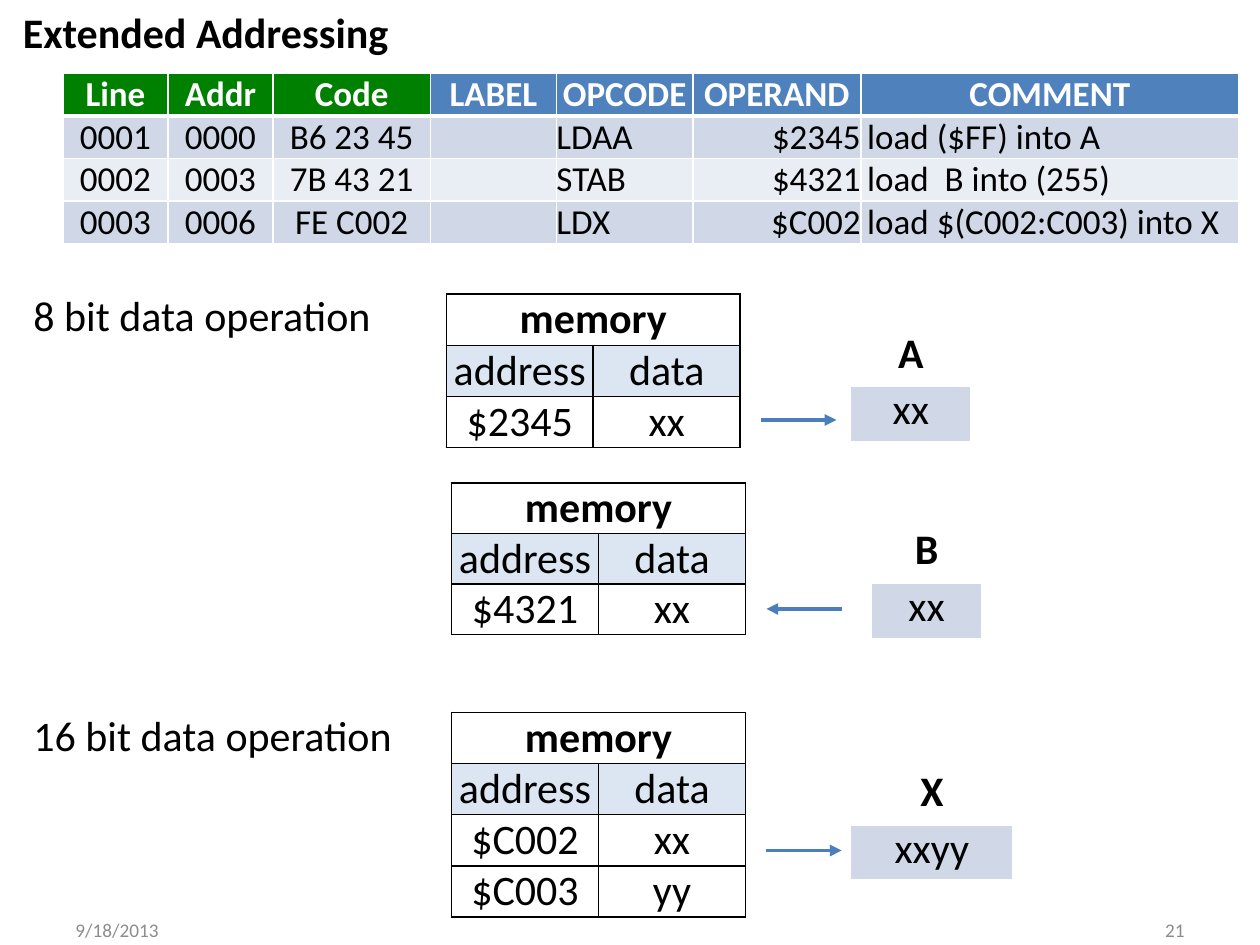
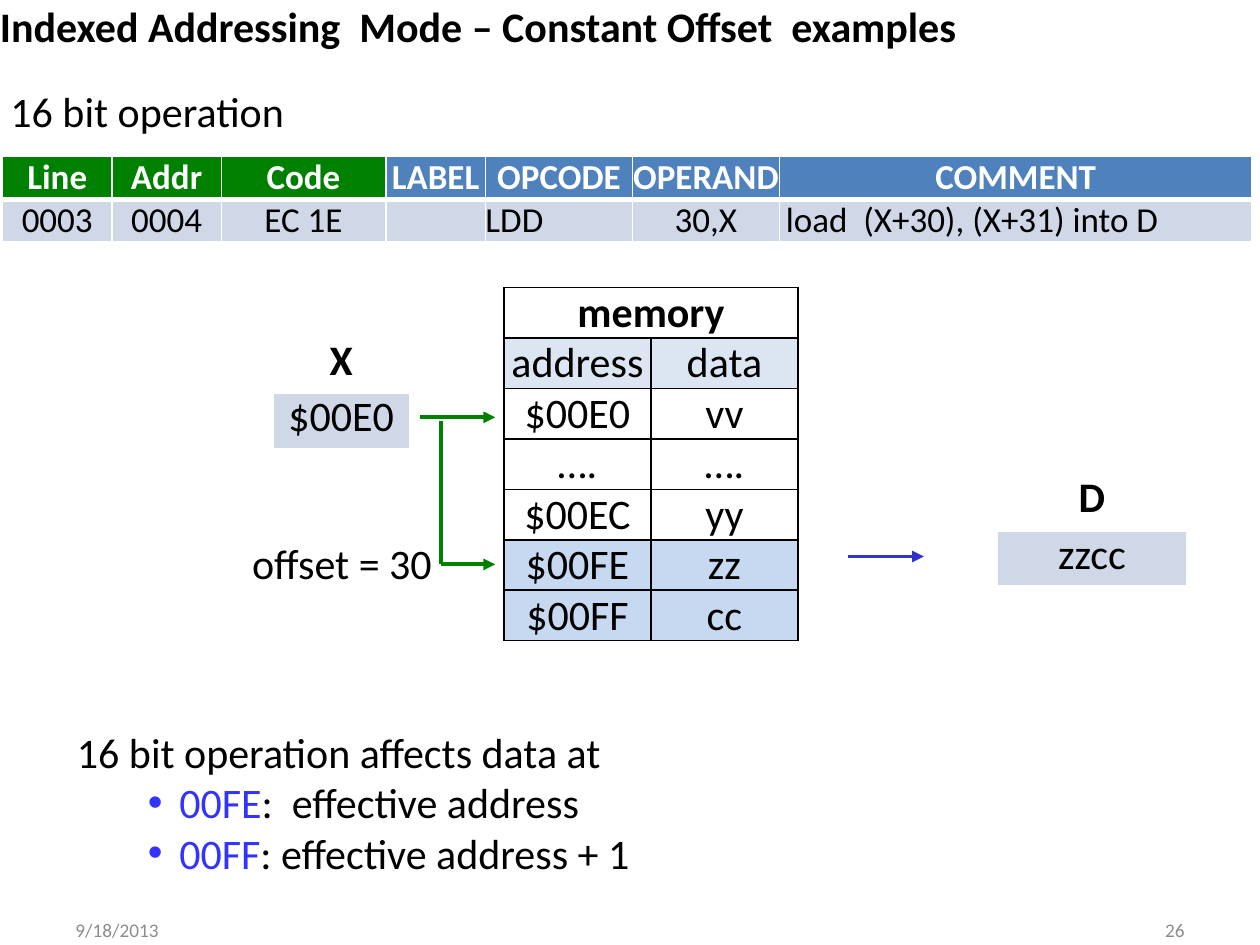
"""Build two slides on extended and indexed addressing modes."""
from dataclasses import dataclass, replace
from typing import Any, Optional

from lxml.etree import SubElement
from pptx import Presentation
from pptx.dml.color import RGBColor
from pptx.enum.shapes import MSO_CONNECTOR
from pptx.enum.text import MSO_ANCHOR, MSO_AUTO_SIZE, PP_ALIGN
from pptx.oxml.ns import qn
from pptx.slide import Slide
from pptx.util import Pt


@dataclass(frozen=True)
class Theme:
    font: str = "Calibri"
    body_size: float = 24
    code_size: float = 20
    footer_size: float = 11
    black: str = "000000"
    white: str = "FFFFFF"
    gray: str = "8C8C8C"
    green: str = "008000"
    blue: str = "4F81BD"
    arrow_blue: str = "4B7EBC"
    load_blue: str = "3333CC"
    address_blue: str = "3333FF"
    band_dark: str = "D0D8E8"
    band_light: str = "E9EDF4"
    column_head: str = "DCE6F2"
    highlight: str = "C6D9F1"


THEME = Theme()


@dataclass(frozen=True)
class CellStyle:
    fill: Optional[str] = None
    color: str = THEME.black
    bold: bool = False
    size: float = THEME.body_size
    align: PP_ALIGN = PP_ALIGN.CENTER
    edge: str = THEME.black
    bottom_edge: float = 1
    left_margin: float = 0
    bottom_margin: float = 0


@dataclass(frozen=True)
class Span:
    text: str
    color: str = THEME.black
    bold: bool = False
    size: float = THEME.body_size


@dataclass(frozen=True)
class Label:
    left: float
    top: float
    width: float
    height: float
    spans: tuple[Span, ...]
    inset: bool = True


@dataclass(frozen=True)
class CodeTable:
    left: float
    top: float
    widths: tuple[float, ...]
    operand_align: PP_ALIGN
    lines: tuple[tuple[str, ...], ...]


@dataclass(frozen=True)
class Memory:
    left: float
    top: float
    row_height: float
    contents: tuple[tuple[str, str], ...]
    highlighted: tuple[str, ...] = ()


@dataclass(frozen=True)
class Register:
    left: float
    top: float
    width: float
    name: str
    value: str


@dataclass(frozen=True)
class Line:
    start: tuple[float, float]
    end: tuple[float, float]
    color: str = THEME.arrow_blue
    arrow: bool = True


Cell = tuple[str, CellStyle]
CODE_HEAD = CellStyle(color=THEME.white, bold=True, size=THEME.code_size,
                      edge=THEME.white, bottom_edge=3)
CODE_BODY = CellStyle(size=THEME.code_size, edge=THEME.white)
REGISTER_VALUE = CellStyle(fill=THEME.band_dark, edge=THEME.white, bottom_margin=3.6)
REGISTER_NAME = replace(REGISTER_VALUE, fill=None, bold=True, bottom_edge=3)
CODE_COLUMNS = ("Line", "Addr", "Code", "LABEL", "OPCODE", "OPERAND", "COMMENT")
LISTING_COLUMNS = 3
CODE_ROW, REGISTER_ROW, MEMORY_COLUMN = 24.4, 32.4, 84
LINE_WIDTH = 2.25


def add_span(para: Any, span: Span) -> None:
    """Append one formatted run to a paragraph."""
    run = para.add_run()
    run.text = span.text
    run.font.name = THEME.font
    run.font.size = Pt(span.size)
    run.font.bold = span.bold
    run.font.color.rgb = RGBColor.from_string(span.color)


def style_cell(cell: Any, style: CellStyle) -> None:
    """Set the margins, borders and fill of a table cell."""
    cell.margin_left, cell.margin_bottom = Pt(style.left_margin), Pt(style.bottom_margin)
    cell.margin_right = cell.margin_top = Pt(0)
    properties = cell._tc.get_or_add_tcPr()
    for side in ("lnL", "lnR", "lnT", "lnB"):
        width = style.bottom_edge if side == "lnB" else 1
        border = SubElement(properties, qn(f"a:{side}"), w=str(Pt(width)))
        fill = SubElement(border, qn("a:solidFill"))
        SubElement(fill, qn("a:srgbClr"), val=style.edge)
    if style.fill:
        cell.fill.solid()
        cell.fill.fore_color.rgb = RGBColor.from_string(style.fill)
    else:
        cell.fill.background()


def draw_table(page: Slide, left: float, top: float, widths: tuple[float, ...],
               row_height: float, rows: list[list[Cell]]) -> Any:
    """Draw a table of styled cells and return it."""
    table = page.shapes.add_table(len(rows), len(widths), Pt(left), Pt(top),
                                  Pt(sum(widths)), Pt(row_height * len(rows))).table
    table.first_row = table.horz_banding = False
    for column, width in zip(table.columns, widths):
        column.width = Pt(width)
    for row, cells in zip(table.rows, rows):
        row.height = Pt(row_height)
        for cell, (text, style) in zip(row.cells, cells):
            style_cell(cell, style)
            if text:
                para = cell.text_frame.paragraphs[0]
                para.alignment = style.align
                add_span(para, Span(text, style.color, style.bold, style.size))
    return table


def draw_code(page: Slide, code: CodeTable) -> None:
    """Draw an assembly listing with banded rows."""
    rows = [[(name, replace(CODE_HEAD, fill=THEME.green if index < LISTING_COLUMNS else THEME.blue))
             for index, name in enumerate(CODE_COLUMNS)]]
    aligns = (PP_ALIGN.CENTER,) * 4 + (PP_ALIGN.LEFT, code.operand_align, PP_ALIGN.LEFT)
    for number, line in enumerate(code.lines):
        band = THEME.band_light if number % 2 else THEME.band_dark
        rows.append([(text, replace(CODE_BODY, fill=band, align=align,
                                    left_margin=3.6 if name == "COMMENT" else 0))
                     for text, align, name in zip(line, aligns, CODE_COLUMNS)])
    draw_table(page, code.left, code.top, code.widths, CODE_ROW, rows)


def draw_memory(page: Slide, memory: Memory) -> None:
    """Draw a memory table under a merged heading."""
    title, head = CellStyle(bold=True), CellStyle(fill=THEME.column_head)
    rows = [[("memory", title), ("", title)], [("address", head), ("data", head)]]
    for address, data in memory.contents:
        style = CellStyle(fill=THEME.highlight if address in memory.highlighted else None)
        rows.append([(address, style), (data, style)])
    table = draw_table(page, memory.left, memory.top, (MEMORY_COLUMN,) * 2,
                       memory.row_height, rows)
    table.cell(0, 0).merge(table.cell(0, 1))


def draw_register(page: Slide, register: Register) -> None:
    """Draw a register name above its value."""
    draw_table(page, register.left, register.top, (register.width,), REGISTER_ROW,
               [[(register.name, REGISTER_NAME)], [(register.value, REGISTER_VALUE)]])


def draw_line(shapes: Any, line: Line) -> None:
    """Draw a straight line, with an arrowhead at its end if wanted."""
    connector = shapes.add_connector(MSO_CONNECTOR.STRAIGHT,
                                     *(Pt(value) for value in line.start + line.end))
    connector.line.color.rgb = RGBColor.from_string(line.color)
    connector.line.width = Pt(LINE_WIDTH)
    properties = connector._element.spPr
    if line.arrow:
        SubElement(properties.find(qn("a:ln")), qn("a:tailEnd"), type="triangle")
    SubElement(properties, qn("a:effectLst"))


def draw_label(page: Slide, label: Label) -> Any:
    """Draw one line of text and return its text frame."""
    box = page.shapes.add_textbox(Pt(label.left), Pt(label.top),
                                  Pt(label.width), Pt(label.height))
    frame = box.text_frame
    frame.word_wrap = False
    frame.auto_size = MSO_AUTO_SIZE.SHAPE_TO_FIT_TEXT
    if not label.inset:
        frame.margin_left = frame.margin_right = frame.margin_top = frame.margin_bottom = Pt(0)
    for span in label.spans:
        add_span(frame.paragraphs[0], span)
    return frame


def add_bullet(frame: Any, spans: tuple[Span, ...]) -> None:
    """Append a bulleted paragraph coloured like its first run."""
    para = frame.add_paragraph()
    properties = para._p.get_or_add_pPr()
    properties.set("marL", str(Pt(58.5)))
    properties.set("indent", str(Pt(-18)))
    color = SubElement(properties, qn("a:buClr"))
    SubElement(color, qn("a:srgbClr"), val=spans[0].color)
    SubElement(properties, qn("a:buFont"), typeface="Arial")
    SubElement(properties, qn("a:buChar"), char="•")
    for span in spans:
        add_span(para, span)


def add_page(deck: Any, number: int) -> Slide:
    """Add a blank page with the date and page number."""
    page = deck.slides.add_slide(deck.slide_layouts[6])
    for left, text, align in ((36, "9/18/2013", PP_ALIGN.LEFT),
                              (516, str(number), PP_ALIGN.RIGHT)):
        frame = draw_label(page, Label(left, 525, 168, 13, (
            Span(text, THEME.gray, size=THEME.footer_size),)))
        frame.word_wrap = True
        frame.auto_size = MSO_AUTO_SIZE.NONE
        frame.vertical_anchor = MSO_ANCHOR.MIDDLE
        frame.paragraphs[0].alignment = align
    return page


def build_extended(deck: Any) -> None:
    """Build the extended addressing page."""
    page = add_page(deck, 21)
    draw_label(page, Label(6, 0, 225, 36, (Span("Extended Addressing", bold=True),)))
    draw_code(page, CodeTable(36, 41.8, (60, 60, 90, 72, 78, 96, 216), PP_ALIGN.RIGHT, (
        ("0001", "0000", "B6 23 45", "", "LDAA", "$2345", "load ($FF) into A"),
        ("0002", "0003", "7B 43 21", "", "STAB", "$4321", "load  B into (255)"),
        ("0003", "0006", "FE C002", "", "LDX", "$C002", "load $(C002:C003) into X"))))
    for top, width, text in ((162, 209, "8 bit data operation"),
                             (402, 221, "16 bit data operation")):
        draw_label(page, Label(12, top, width, 36, (Span(text),)))
    for memory in (Memory(255, 168, 29.3, (("$2345", "xx"),)),
                   Memory(258, 276, 28.8, (("$4321", "xx"),)),
                   Memory(258, 407, 29.3, (("$C002", "xx"), ("$C003", "yy")))):
        draw_memory(page, memory)
    for register in (Register(486, 187.5, 69, "A", "xx"),
                     Register(498, 300, 63, "B", "xx"),
                     Register(486, 438, 93, "X", "xxyy")):
        draw_register(page, register)
    for line in (Line((435, 240), (478, 240)), Line((481, 348), (438, 348)),
                 Line((438, 486), (481, 486))):
        draw_line(page.shapes, line)


def build_indexed(deck: Any) -> None:
    """Build the constant offset page."""
    page = add_page(deck, 26)
    for label in (
            Label(0, 0, 565, 29, (
                Span("Indexed Addressing  Mode – Constant Offset  examples", bold=True),), False),
            Label(6, 49, 158, 29, (Span("16 bit operation"),), False),
            Label(144, 307, 104, 29, (Span("offset = 30"),), False)):
        draw_label(page, label)
    draw_code(page, CodeTable(1.5, 89.5, (62.5, 62.5, 94, 57, 84, 84, 270), PP_ALIGN.CENTER, (
        ("0003", "0004", "EC 1E", "", "LDD", "30,X", "load  (X+30), (X+31) into D"),)))
    draw_memory(page, Memory(288, 164.3, 28.8, (
        ("$00E0", "vv"), ("….", "…."), ("$00EC", "yy"), ("$00FE", "zz"), ("$00FF", "cc")),
        ("$00FE", "$00FF")))
    draw_register(page, Register(156, 191.5, 78, "X", "$00E0"))
    draw_register(page, Register(570, 270, 108, "D", "zzcc"))
    draw_line(page.shapes, Line((240, 238.5), (283, 238.5), THEME.green))
    draw_line(page.shapes, Line((484.5, 318), (528, 318), THEME.load_blue))
    offset_path = page.shapes.add_group_shape()
    draw_line(offset_path.shapes, Line((252, 322.5), (283, 322.5), THEME.green))
    draw_line(offset_path.shapes, Line((252, 322.5), (252, 240.5), THEME.green, arrow=False))
    effect = draw_label(page, Label(44, 415, 338, 87, (
        Span("16 bit operation affects data at"),), False))
    for address, meaning in (("00FE", ":  effective address"),
                             ("00FF", ": effective address + 1")):
        add_bullet(effect, (Span(address, THEME.address_blue), Span(meaning)))


def main() -> None:
    """Build and save the deck."""
    deck = Presentation()
    deck.slide_width, deck.slide_height = Pt(720), Pt(540)
    build_extended(deck)
    build_indexed(deck)
    deck.save("out.pptx")


if __name__ == "__main__":
    main()
